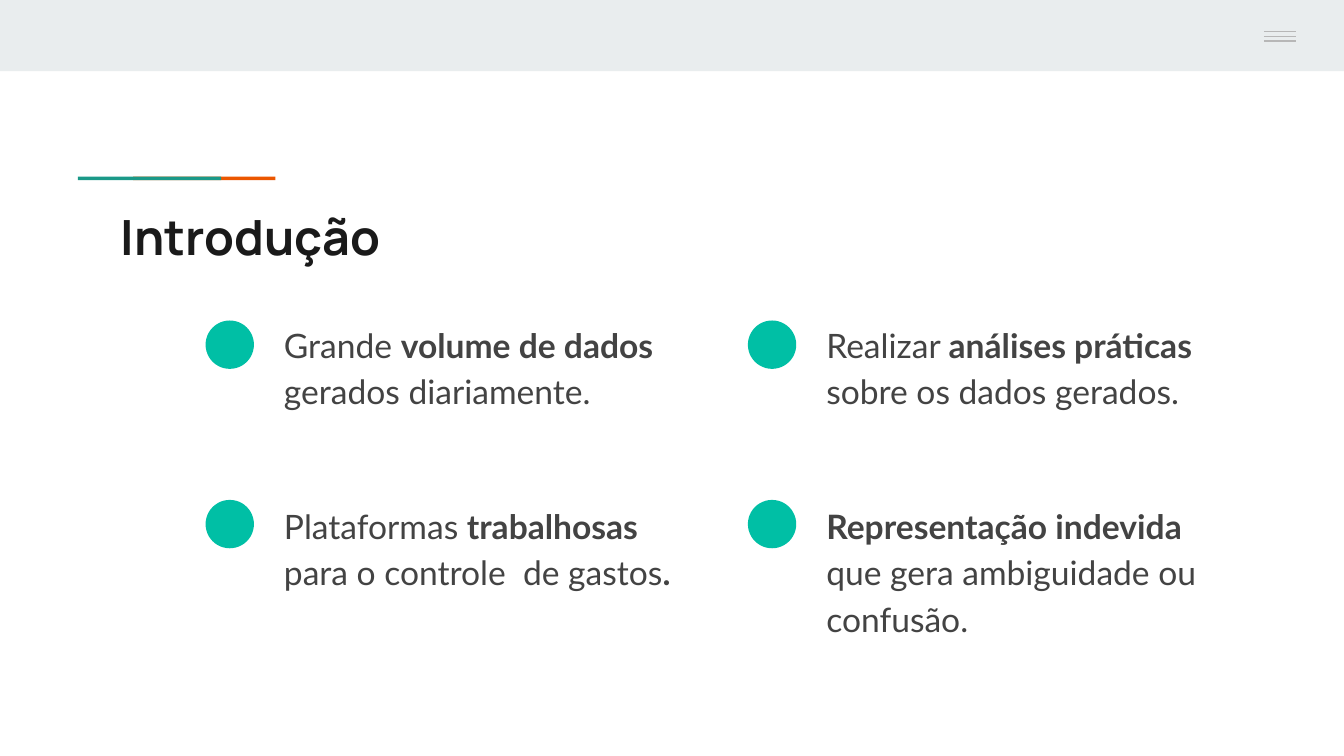
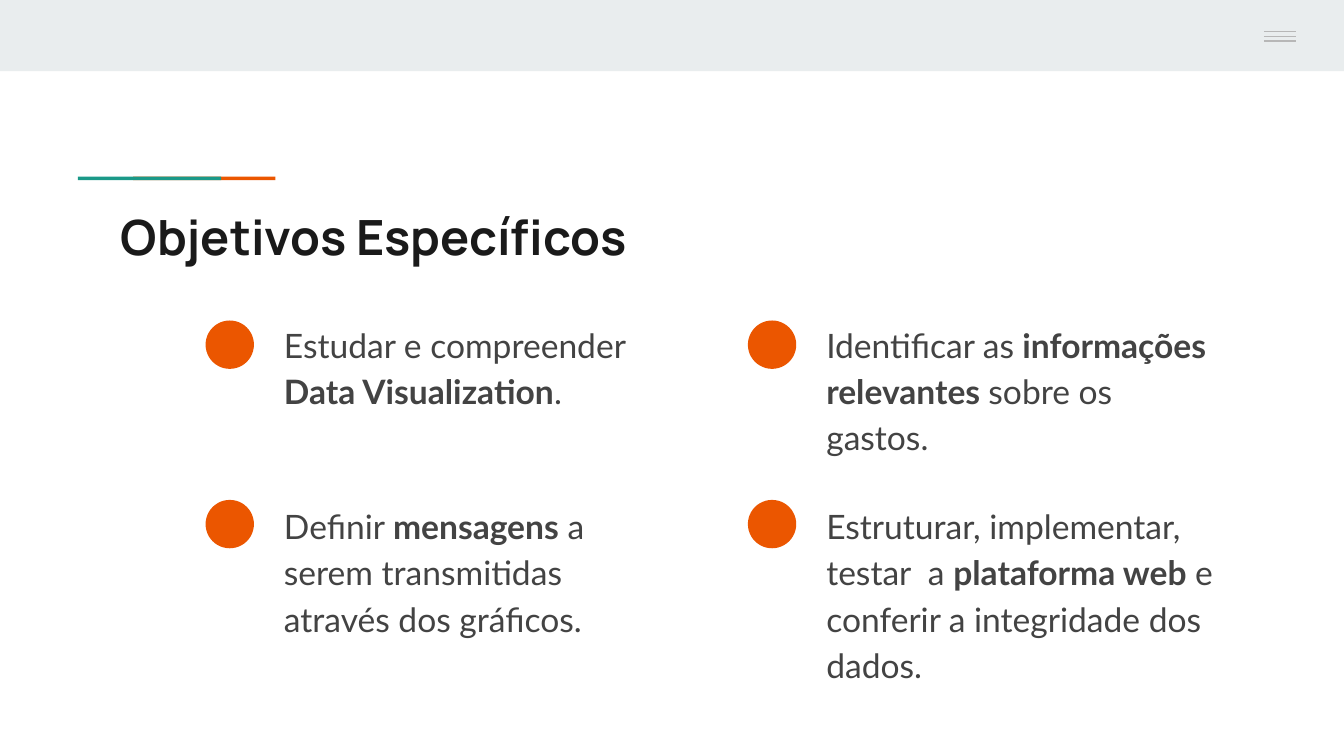
from dataclasses import dataclass

from lxml import etree
from pptx import Presentation
from pptx.dml.color import RGBColor
from pptx.enum import shapes, text
from pptx.oxml import ns
from pptx.util import Pt

EMU_PER_PX = 4572  # 200 px to the inch
PAGE_WIDTH, PAGE_HEIGHT = 2000, 1125


@dataclass(frozen=True)
class Theme:
    band: str = "E9EDEE"
    menu: str = "B7B7B7"
    teal: str = "1A9988"
    mint: str = "00BFA5"
    orange: str = "EB5600"
    title: str = "1A1A1A"
    body: str = "434343"
    title_font: str = "Manrope"
    body_font: str = "Lato"
    title_size: int = 26
    body_size: int = 18
    menu_width: float = 0.75
    body_spacing: float = 1.15
    body_after: int = 16


THEME = Theme()


def px(length):
    return length * EMU_PER_PX


class SlideWriter:
    """Holds the deck, its theme and the page being filled."""

    def __init__(self, deck, theme):
        self.deck = deck
        self.theme = theme
        self.page = None

    def shape(self, kind, left, top, width, height, color):
        shape = self.page.shapes.add_shape(
            kind, px(left), px(top), px(width), px(height))
        shape.shadow.inherit = False
        shape.fill.solid()
        shape.fill.fore_color.rgb = RGBColor.from_string(color)
        shape.line.fill.background()

    def rectangle(self, left, top, width, height, color):
        self.shape(shapes.MSO_SHAPE.RECTANGLE, left, top, width, height, color)

    def dot(self, left, top, size, color):
        self.shape(shapes.MSO_SHAPE.OVAL, left, top, size, size, color)

    def rule(self, left, right, y):
        line = self.page.shapes.add_connector(
            shapes.MSO_CONNECTOR.STRAIGHT, px(left), px(y), px(right), px(y))
        line.line.color.rgb = RGBColor.from_string(self.theme.menu)
        line.line.width = Pt(self.theme.menu_width)
        etree.SubElement(line._element.spPr, ns.qn("a:effectLst"))

    def text_box(self, left, top, width, height):
        box = self.page.shapes.add_textbox(
            px(left), px(top), px(width), px(height))
        frame = box.text_frame
        frame.word_wrap = True
        frame.vertical_anchor = text.MSO_ANCHOR.TOP
        frame.margin_left = frame.margin_right = px(20)
        frame.margin_top = frame.margin_bottom = px(20)
        return frame.paragraphs[0]

    def span(self, para, words, font, size, color, bold):
        span = para.add_run()
        span.text = words
        span.font.name = font
        span.font.size = Pt(size)
        span.font.bold = bold
        span.font.color.rgb = RGBColor.from_string(color)

    def title(self, words):
        para = self.text_box(160, 288, 1682, 118)
        self.span(para, words, self.theme.title_font, self.theme.title_size,
                  self.theme.title, True)

    def body(self, left, top, marked):
        """Write a paragraph in which ** switches bold on and off."""
        para = self.text_box(left, top, 620, 230)
        para.line_spacing = self.theme.body_spacing
        para.space_after = Pt(self.theme.body_after)
        for index, words in enumerate(marked.split("**")):
            if words:
                self.span(para, words, self.theme.body_font,
                          self.theme.body_size, self.theme.body,
                          index % 2 == 1)

    def new_page(self, title):
        self.page = self.deck.slides.add_slide(self.deck.slide_layouts[6])
        # Top band with the menu mark
        self.rectangle(0, 0, PAGE_WIDTH, 106, self.theme.band)
        # Two-colour accent above the title
        self.rectangle(198, 263, 212, 5, self.theme.orange)
        self.rectangle(116, 263, 213, 5, self.theme.teal)
        self.rectangle(1812, 0, 188, 100, self.theme.band)
        for y in (47, 54, 61):
            self.rule(1881, 1929, y)
        self.title(title)

    def points(self, items, color):
        # Two columns of two, filled row by row
        for index, marked in enumerate(items):
            row, column = divmod(index, 2)
            left = 306 + column * 807
            self.dot(left, 477 + row * 267, 72, color)
            self.body(left + 97, 454 + row * 270, marked)


PAGES = [
    ("Introdução", THEME.mint, [
        "Grande **volume de dados** gerados diariamente.",
        "Realizar **análises práticas **sobre os dados gerados.",
        "Plataformas **trabalhosas** para o controle  de gastos**.**",
        "**Representação indevida** que gera ambiguidade ou confusão.",
    ]),
    ("Objetivos Específicos", THEME.orange, [
        "Estudar e compreender **Data Visualization**.",
        "Identificar as** informações relevantes **sobre os gastos.",
        "Definir **mensagens** a serem transmitidas através dos gráficos.",
        "Estruturar, implementar, testar  a **plataforma web** e conferir "
        "a integridade dos dados.",
    ]),
]


def main():
    deck = Presentation()
    deck.slide_width = px(PAGE_WIDTH)
    deck.slide_height = px(PAGE_HEIGHT)
    writer = SlideWriter(deck, THEME)
    for title, color, items in PAGES:
        writer.new_page(title)
        writer.points(items, color)
    deck.save("out.pptx")


if __name__ == "__main__":
    main()
